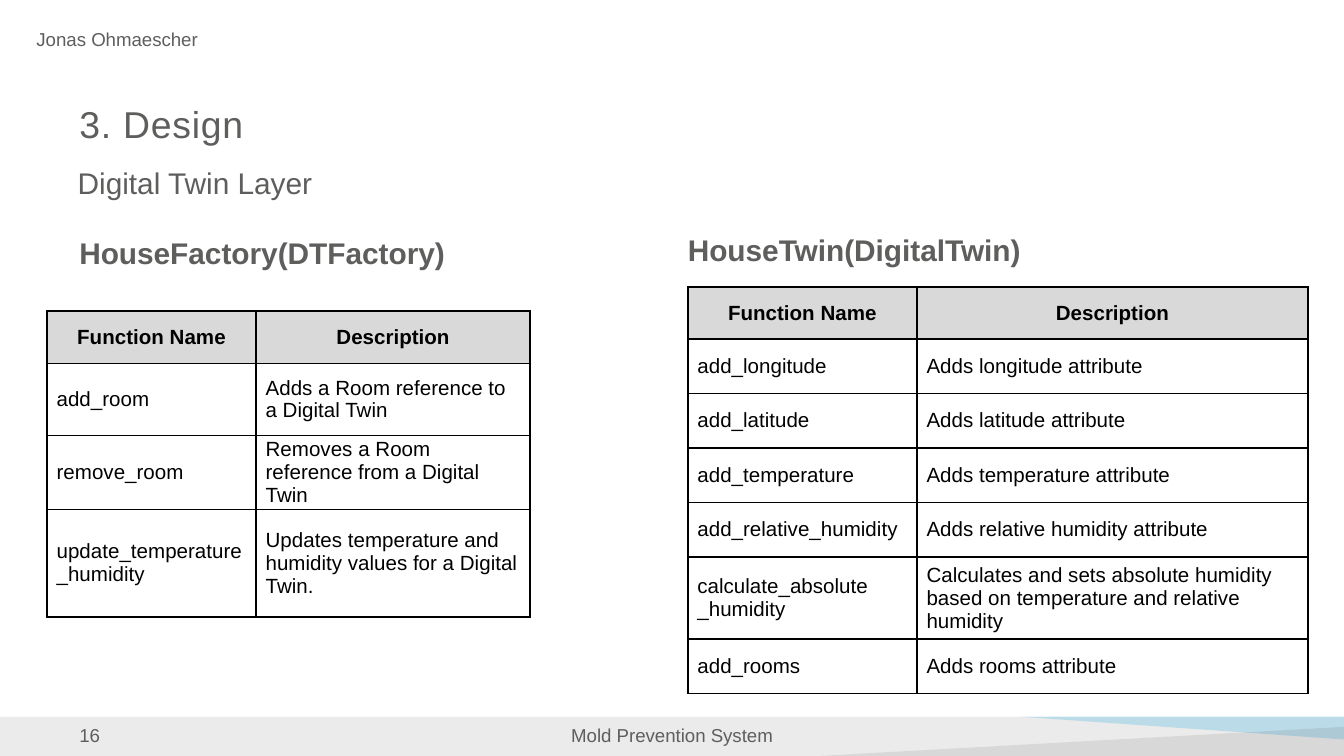
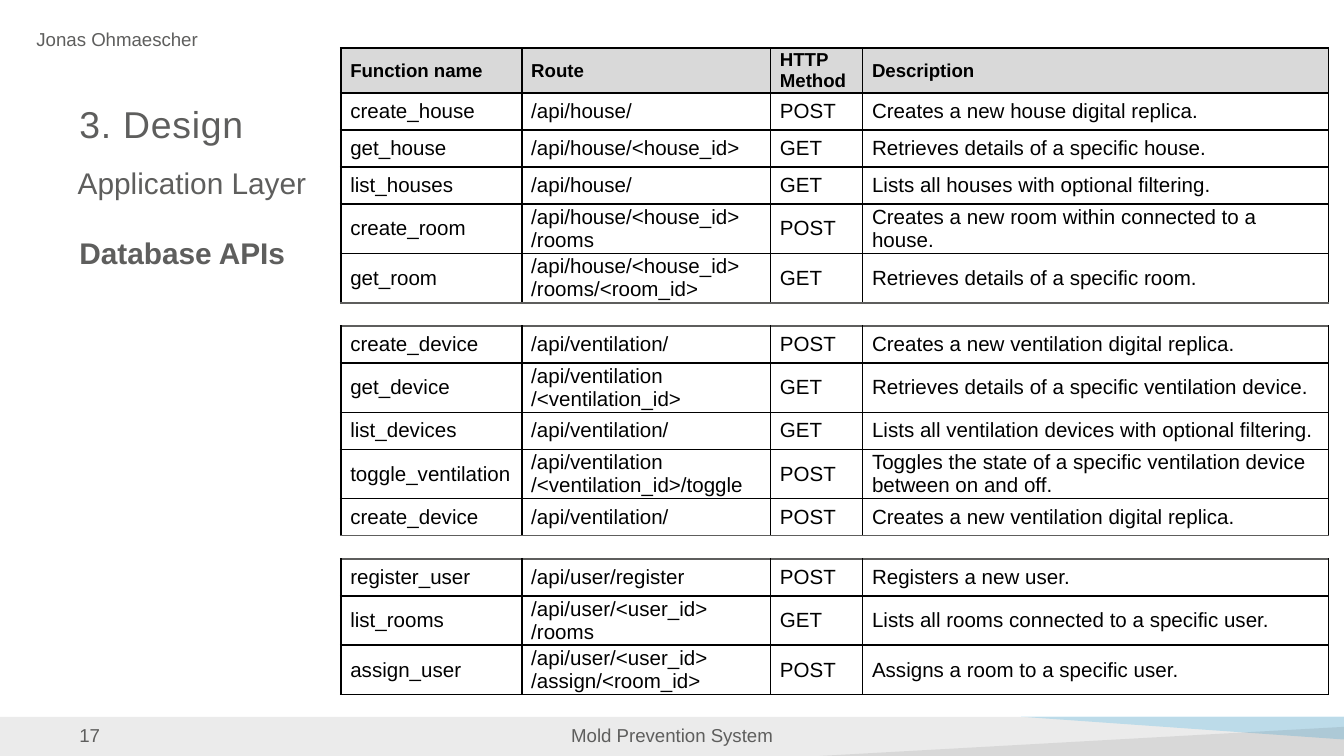
from lxml import etree
from pptx import Presentation
from pptx.dml.color import RGBColor
from pptx.enum.shapes import MSO_SHAPE
from pptx.enum.text import MSO_ANCHOR, PP_ALIGN
from pptx.oxml.ns import qn
from pptx.util import Cm, Pt

RECT = MSO_SHAPE.RECTANGLE
WEDGE = MSO_SHAPE.RIGHT_TRIANGLE
TOP, MID, BASE = MSO_ANCHOR.TOP, MSO_ANCHOR.MIDDLE, MSO_ANCHOR.BOTTOM
LEFT, CENTER, JUST = PP_ALIGN.LEFT, PP_ALIGN.CENTER, PP_ALIGN.JUSTIFY

FONT = "Arial"
COLORS = {
    "text": "5E5E5D",
    "ink": "000000",
    "head": "D9D9D9",
    "blue": "009EE3",
}
PAD = 0.18
LOW = 0.7
TALL = 0.86
GAP = 0.44

FACTORY = [
    ("Function Name", "Description"),
    ("add_room", "Adds a Room reference to a Digital Twin"),
    ("remove_room", "Removes a Room reference from a Digital Twin"),
    ("update_temperature_humidity",
     "Updates temperature and humidity values for a Digital Twin."),
]
TWIN = [
    ("Function Name", "Description"),
    ("add_longitude", "Adds longitude attribute"),
    ("add_latitude", "Adds latitude attribute"),
    ("add_temperature", "Adds temperature attribute"),
    ("add_relative_humidity", "Adds relative humidity attribute"),
    ("calculate_absolute\n_humidity",
     "Calculates and sets absolute humidity based on temperature and relative humidity"),
    ("add_rooms", "Adds rooms attribute"),
]
ROUTES = [
    ("Function name", "Route", "HTTP\nMethod", "Description"),
    ("create_house", "/api/house/", "POST", "Creates a new house digital replica."),
    ("get_house", "/api/house/<house_id>", "GET", "Retrieves details of a specific house."),
    ("list_houses", "/api/house/", "GET", "Lists all houses with optional filtering."),
    ("create_room", "/api/house/<house_id>\n/rooms", "POST",
     "Creates a new room within connected to a house."),
    ("get_room", "/api/house/<house_id>\n/rooms/<room_id>", "GET",
     "Retrieves details of a specific room."),
    None,
    ("create_device", "/api/ventilation/", "POST", "Creates a new ventilation digital replica."),
    ("get_device", "/api/ventilation\n/<ventilation_id>", "GET",
     "Retrieves details of a specific ventilation device."),
    ("list_devices", "/api/ventilation/", "GET",
     "Lists all ventilation devices with optional filtering."),
    ("toggle_ventilation", "/api/ventilation\n/<ventilation_id>/toggle", "POST",
     "Toggles the state of a specific ventilation device between on and off."),
    ("create_device", "/api/ventilation/", "POST", "Creates a new ventilation digital replica."),
    None,
    ("register_user", "/api/user/register", "POST", "Registers a new user."),
    ("list_rooms", "/api/user/<user_id>\n/rooms", "GET",
     "Lists all rooms connected to a specific user."),
    ("assign_user", "/api/user/<user_id>\n/assign/<room_id>", "POST",
     "Assigns a room to a specific user."),
]


def rgb(name):
    return RGBColor.from_string(COLORS[name])


def add_run(para, text, size, color="text", bold=False):
    run = para.add_run()
    run.text = text
    font = run.font
    font.name, font.size, font.bold = FONT, Pt(size), bold
    font.color.rgb = rgb(color)
    return run


def add_text(slide, box, text, size, line=None, bold=False, align=LEFT,
             anchor=TOP, after=0, space=0):
    frame = slide.shapes.add_textbox(*map(Cm, box)).text_frame
    frame.margin_left = frame.margin_right = 0
    frame.margin_top = frame.margin_bottom = 0
    frame.word_wrap = True
    frame.vertical_anchor = anchor
    para = frame.paragraphs[0]
    para.alignment = align
    para.space_after = Pt(after)
    if line:
        para.line_spacing = Pt(line)
    run = add_run(para, text, size, bold=bold)
    if space:
        run.font._element.set("spc", str(space))


def add_band(slide, kind, box, color, alpha, flips=()):
    shape = slide.shapes.add_shape(kind, *map(Cm, box))
    shape.shadow.inherit = False
    shape.line.fill.background()
    shape.fill.solid()
    shape.fill.fore_color.rgb = rgb(color)
    props = shape.element.spPr
    tint = props.find(".//" + qn("a:srgbClr"))
    etree.SubElement(tint, qn("a:alpha"), val=str(alpha * 1000))
    for flip in flips:
        props.xfrm.set(flip, "1")


def add_edge(cell, side, color):
    props = cell._tc.get_or_add_tcPr()
    line = etree.SubElement(props, qn("a:ln" + side), w=str(Pt(1)))
    if color:
        fill = etree.SubElement(line, qn("a:solidFill"))
        etree.SubElement(fill, qn("a:srgbClr"), val=COLORS[color])
    else:
        etree.SubElement(line, qn("a:noFill"))


def fill_cell(cell, text, size, bold, align, after):
    for i, part in enumerate(text.split("\n")):
        frame = cell.text_frame
        para = frame.add_paragraph() if i else frame.paragraphs[0]
        para.alignment = align
        para.space_after = Pt(after)
        add_run(para, part, size, "ink", bold)


def add_table(slide, spot, cols, rows, data, size=11, align=CENTER, after=6, just=0):
    left, top = spot
    frame = slide.shapes.add_table(len(rows), len(cols), Cm(left), Cm(top),
                                   Cm(sum(cols)), Cm(sum(rows)))
    table = frame.table
    table.first_row = table.horz_banding = False
    for col, width in zip(table.columns, cols):
        col.width = Cm(width)
    for r, values in enumerate(data):
        table.rows[r].height = Cm(rows[r])
        above = r > 0 and data[r - 1] is None
        below = r + 1 < len(data) and data[r + 1] is None
        side = "ink" if values else None
        edges = {
            "L": side,
            "R": side,
            "T": "text" if above or not values else "ink",
            "B": "text" if below or not values else "ink",
        }
        head = r == 0
        for c in range(len(cols)):
            cell = table.cell(r, c)
            cell.margin_left = cell.margin_right = Cm(PAD)
            cell.margin_top = cell.margin_bottom = 0
            cell.vertical_anchor = MID
            for key, color in edges.items():
                add_edge(cell, key, color)
            if head:
                cell.fill.solid()
                cell.fill.fore_color.rgb = rgb("head")
            else:
                cell.fill.background()
            if not values:
                para = cell.text_frame.paragraphs[0]
                etree.SubElement(para._p, qn("a:endParaRPr"), sz="1000")
            elif head:
                lone = "\n" not in values[c]
                fill_cell(cell, values[c], size, True, align, 6 if lone else 0)
            else:
                flow = JUST if r < just and c < 2 else LEFT
                gap = 0 if "\n" in values[c] else after
                fill_cell(cell, values[c], 11, False, flow, gap)


def add_head(slide, left, text, height, line=16):
    add_text(slide, (left, 4.55, 10.9, height), text, 16, line, bold=True, after=7.5)


def add_slide(deck, page, topic):
    slide = deck.slides.add_slide(deck.slide_layouts[6])
    add_band(slide, RECT, (0, 13.55, 25.4, 0.74), "ink", 8)
    add_band(slide, WEDGE, (19.3, 13.55, 6.1, 0.43), "blue", 20, ("flipH", "flipV"))
    add_band(slide, WEDGE, (15.49, 13.74, 9.91, 0.55), "ink", 8, ("flipH",))
    add_text(slide, (1.5, 13.69, 2.03, 0.43), str(page), 10)
    add_text(slide, (9.65, 13.69, 6.1, 0.43), "Mold Prevention System", 10, align=CENTER)
    add_text(slide, (0.69, 0.53, 3.25, 0.43), "Jonas Ohmaescher", 10)
    add_text(slide, (1.5, 1.85, 22.4, 0.91), "3. Design", 20, 23, anchor=BASE, space=40)
    add_text(slide, (1.47, 3.23, 22.4, 0.56), topic, 16, 16)
    return slide


def main():
    deck = Presentation()
    deck.slide_width, deck.slide_height = Cm(25.4), Cm(14.29)

    slide = add_slide(deck, 16, "Digital Twin Layer")
    add_head(slide, 1.5, "HouseFactory(DTFactory)", 1.04)
    add_head(slide, 13, "HouseTwin(DigitalTwin)", 8, 14.2)
    add_table(slide, (0.89, 5.88), (3.95, 5.18), (0.99, 1.36, 1.36, 2.03), FACTORY)
    add_table(slide, (13, 5.42), (4.33, 7.39),
              (0.99, *[1.03] * 4, 1.55, 1.03), TWIN)

    slide = add_slide(deck, 17, "Application Layer")
    add_head(slide, 1.5, "Database APIs", 8)
    rows = [0.79]
    for row in ROUTES[1:]:
        rows.append(GAP if row is None else TALL if "\n" in row[1] else LOW)
    add_table(slide, (6.44, 0.91), (3.42, 4.7, 1.74, 8.81), rows, ROUTES,
              size=10, align=LEFT, after=0, just=6)

    deck.save("out.pptx")


if __name__ == "__main__":
    main()
